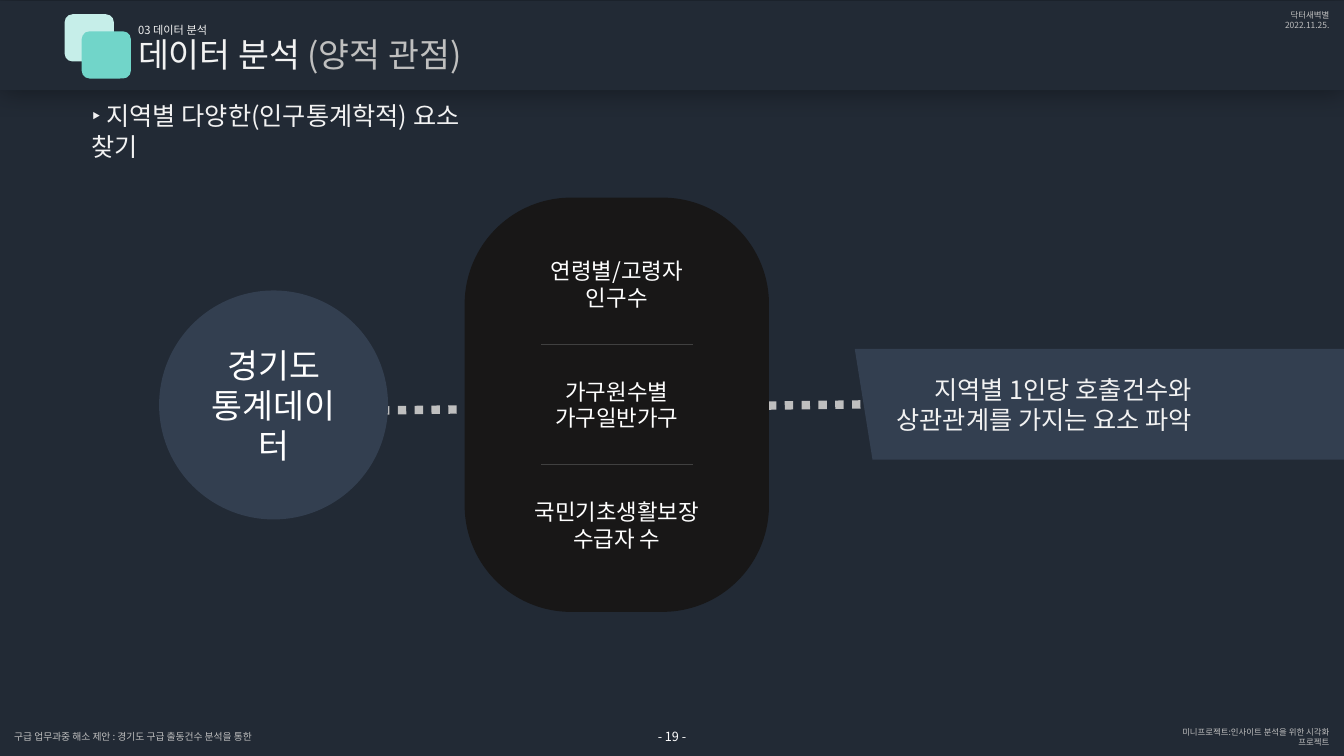
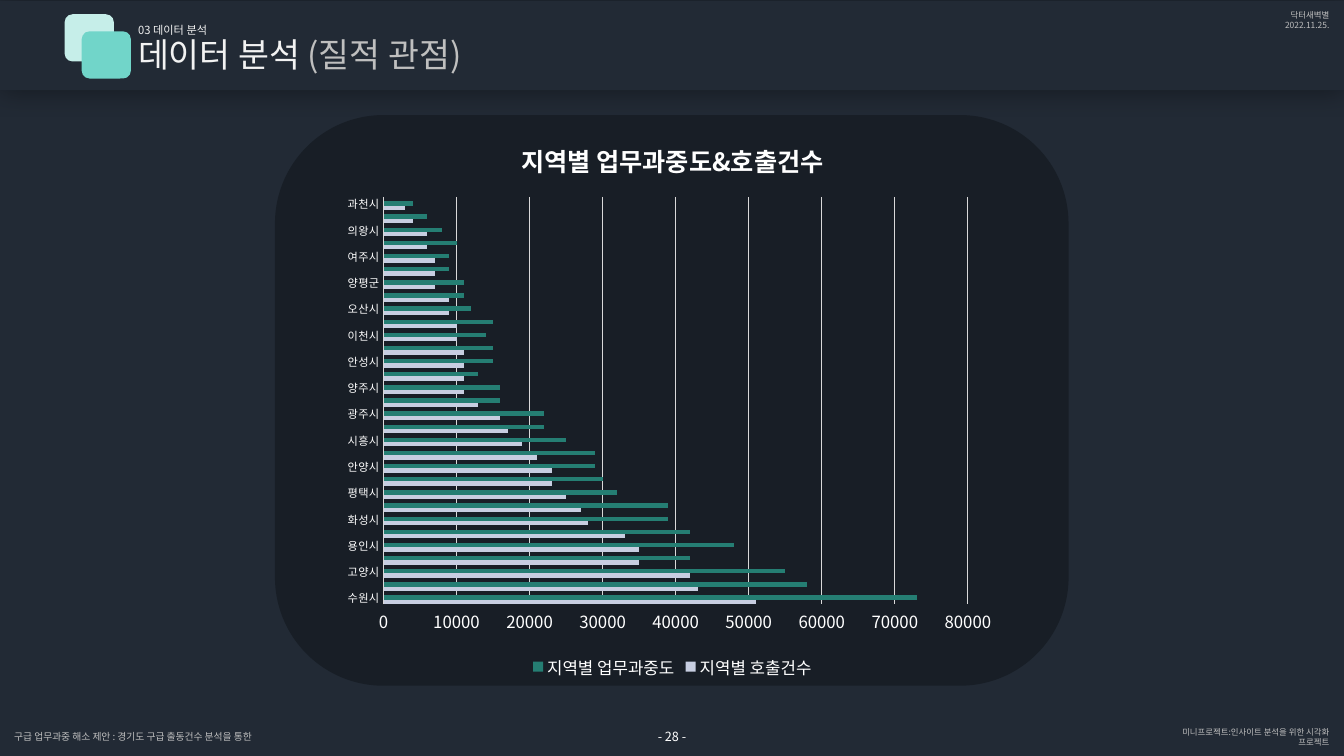
import pptx
import pptx.chart.data
import pptx.dml.color
import pptx.enum.chart
import pptx.enum.dml
import pptx.enum.shapes
import pptx.enum.text
import pptx.oxml
import pptx.oxml.ns
import pptx.util

Cm = pptx.util.Cm
Pt = pptx.util.Pt
RGBColor = pptx.dml.color.RGBColor
SHAPE = pptx.enum.shapes.MSO_SHAPE
ALIGN = pptx.enum.text.PP_ALIGN
ANCHOR = pptx.enum.text.MSO_ANCHOR
qn = pptx.oxml.ns.qn

NAVY = RGBColor(0x22, 0x2A, 0x35)
SLATE = RGBColor(0x33, 0x3F, 0x50)
CAPSULE = RGBColor(0x18, 0x17, 0x17)
PANEL = RGBColor(0x18, 0x1E, 0x26)
WHITE = RGBColor(0xFF, 0xFF, 0xFF)
OFFWHITE = RGBColor(0xF2, 0xF2, 0xF2)
GREY = RGBColor(0xBF, 0xBF, 0xBF)
GRID = RGBColor(0xD9, 0xD9, 0xD9)
DIVIDER = RGBColor(0x40, 0x40, 0x40)
PALE_MINT = RGBColor(0xC6, 0xEE, 0xE9)
MINT = RGBColor(0x71, 0xD5, 0xC9)
LAVENDER = RGBColor(0xC7, 0xCE, 0xE1)
GREEN = RGBColor(0x25, 0x7E, 0x73)
AQUA = RGBColor(0xC2, 0xF3, 0xE5)

FONT = "Noto Sans CJK KR"
WIDTH, HEIGHT = 33.87, 19.05

CALLS = [51, 43, 42, 35, 35, 33, 28, 27, 25, 23, 23, 21, 19, 17, 16, 13,
         11, 11, 11, 11, 10, 10, 9, 9, 7, 7, 7, 6, 6, 4, 3]
OVERLOAD = [73, 58, 55, 42, 48, 42, 39, 39, 32, 30, 29, 29, 25, 22, 22, 16,
            16, 13, 15, 15, 14, 15, 12, 11, 11, 9, 9, 10, 8, 6, 4]
CITIES = (
    "수원시 성남시 고양시 부천시 용인시 안산시 화성시 남양주시 평택시 의정부시 "
    "안양시 파주시 시흥시 김포시 광주시 광명시 양주시 군포시 안성시 포천시 이천시 "
    "하남시 오산시 구리시 양평군 동두천시 여주시 가평군 의왕시 연천군 과천시"
).split()


def set_font(font, size, color):
    font.size = Pt(size)
    font.color.rgb = color
    font.name = FONT
    latin = font._rPr.find(qn("a:latin"))
    ea = latin.makeelement(qn("a:ea"), {"typeface": FONT})
    latin.addnext(ea)


def add_text(slide, box, lines, size, color, align=ALIGN.LEFT,
             anchor=ANCHOR.MIDDLE, inset=(0, 0), wrap=True):
    tb = slide.shapes.add_textbox(*map(Cm, box))
    tf = tb.text_frame
    tf.word_wrap = wrap
    tf.vertical_anchor = anchor
    tf.margin_left = tf.margin_right = Cm(inset[0])
    tf.margin_top = tf.margin_bottom = Cm(inset[1])
    tf.text = "\n".join(lines)
    for p in tf.paragraphs:
        p.alignment = align
        for r in p.runs:
            set_font(r.font, size, color)
    return tf


def add_block(slide, kind, box, color, adj=None):
    sp = slide.shapes.add_shape(kind, *map(Cm, box))
    sp.shadow.inherit = False
    sp.fill.solid()
    sp.fill.fore_color.rgb = color
    sp.line.fill.background()
    if adj is not None:
        sp.adjustments[0] = adj
    return sp


def add_line(slide, start, end, color, width):
    line = slide.shapes.add_connector(
        pptx.enum.shapes.MSO_CONNECTOR.STRAIGHT, *map(Cm, start + end))
    line.line.color.rgb = color
    line.line.width = Pt(width)
    sp_pr = line._element.spPr
    sp_pr.append(sp_pr.makeelement(qn("a:effectLst"), {}))
    return line


def add_band_shadow(band):
    effects = band._element.spPr.find(qn("a:effectLst"))
    effects.append(pptx.oxml.parse_xml(
        '<a:outerShdw xmlns:a="http://schemas.openxmlformats.org/drawingml/2006/main" '
        'blurRad="254000" dist="0" dir="0" algn="ctr" rotWithShape="0">'
        '<a:srgbClr val="000000"><a:alpha val="40000"/></a:srgbClr></a:outerShdw>'))


def add_header(slide, box, viewpoint):
    x, y, w, h = box
    add_band_shadow(add_block(slide, SHAPE.RECTANGLE, box, NAVY))
    for i, color in enumerate((PALE_MINT, MINT)):
        add_block(slide, SHAPE.ROUNDED_RECTANGLE,
                  (x + 1.63 + 0.43 * i, y + 0.33 + 0.43 * i, 1.24, 1.19), color)
    tf = add_text(slide, (x + 3.48, y + 0.83, 9.35, 1.02),
                  ["데이터 분석"], 24, OFFWHITE)
    r = tf.paragraphs[0].add_run()
    r.text = f" ({viewpoint})"
    set_font(r.font, 24, GREY)
    add_text(slide, (x + 3.48, y + 0.55, 9.35, 0.33), ["03 데이터 분석"], 8, OFFWHITE)
    add_text(slide, (x + w - 4.79, y + 0.22, 4.42, 0.51),
             ["닥터새벽별", "2022.11.25."], 6, GREY, ALIGN.RIGHT)


def add_footer(slide, box, number):
    x, y, w, h = box
    add_text(slide, (x + 0.36, y, 6.65, h),
             ["구급 업무과중 해소 제안 : 경기도 구급 출동건수 분석을 통한"], 7, GREY)
    add_text(slide, (x + w / 2 - 0.46, y, 0.92, h), [f"- {number} -"], 9, WHITE,
             ALIGN.CENTER, wrap=False)
    add_text(slide, (x + w - 4.79, y, 4.42, h),
             ["미니프로젝트:인사이트 분석을 위한 시각화 프로젝트"], 6, GREY, ALIGN.RIGHT)


def new_slide(prs, viewpoint, number):
    slide = prs.slides.add_slide(prs.slide_layouts[6])
    slide.background.fill.solid()
    slide.background.fill.fore_color.rgb = NAVY
    add_header(slide, (0, 0.03, WIDTH, 2.24), viewpoint)
    add_footer(slide, (0, 18.42, WIDTH, 0.3), number)
    return slide


def add_source_circle(slide, box):
    x, y, w, h = box
    add_block(slide, SHAPE.OVAL, box, SLATE)
    add_text(slide, (x + 1.03, y + h / 2 - 1.03, w - 2.06, 2.06),
             ["경기도", "통계데이터"], 24, WHITE, ALIGN.CENTER)


def add_factor_capsule(slide, box):
    x, y, w, h = box
    add_block(slide, SHAPE.ROUNDED_RECTANGLE, box, CAPSULE, 0.35)
    factors = [("연령별/고령자", "인구수"),
               ("가구원수별", "가구일반가구"),
               ("국민기초생활보장", "수급자 수")]
    step, text_h = 3.03, 1.37
    for i, lines in enumerate(factors):
        top = y + 1.5 + step * i
        add_text(slide, (x + 1.15, top, w - 2.3, text_h), lines, 16, WHITE, ALIGN.CENTER)
        if i:
            mid = top - (step - text_h) / 2
            add_line(slide, (x + 1.92, mid), (x + w - 1.92, mid), DIVIDER, 1)


def add_conclusion(slide, box):
    x, y, w, h = box
    add_block(slide, SHAPE.TRAPEZOID, box, SLATE, 0.16).rotation = 180
    add_text(slide, (x + 0.23, y + 0.51, 8.51, 1.8),
             ["지역별 1인당 호출건수와", "상관관계를 가지는 요소 파악"], 18, OFFWHITE,
             ALIGN.RIGHT, ANCHOR.TOP, (0.25, 0.13))


def add_flow(slide, box):
    x, y, w, h = box
    dots = add_line(slide, (x + 0.08, y + 5.43), (x + 17.76, y + 5.21), GREY, 6)
    dots.line.dash_style = pptx.enum.dml.MSO_LINE.ROUND_DOT
    add_conclusion(slide, (x + 17.53, y + 3.81, w - 17.53, 2.79))
    add_source_circle(slide, (x, y + 2.34, 5.77, 5.77))
    add_factor_capsule(slide, (x + 7.7, y, 7.67, h))


def set_plot_layout(chart, x, y, w, h):
    ns = "http://schemas.openxmlformats.org/drawingml/2006/chart"
    plot_area = chart._chartSpace.find(".//" + qn("c:plotArea"))
    old = plot_area.find(qn("c:layout"))
    if old is not None:
        plot_area.remove(old)
    plot_area.insert(0, pptx.oxml.parse_xml(
        f'<c:layout xmlns:c="{ns}"><c:manualLayout><c:layoutTarget val="inner"/>'
        '<c:xMode val="edge"/><c:yMode val="edge"/>'
        f'<c:x val="{x}"/><c:y val="{y}"/><c:w val="{w}"/><c:h val="{h}"/>'
        '</c:manualLayout></c:layout>'))


def hide_legend_entry(chart, index):
    pos = chart.legend._element.find(qn("c:legendPos"))
    entry = pos.makeelement(qn("c:legendEntry"), {})
    for tag, value in (("c:idx", index), ("c:delete", 1)):
        entry.append(entry.makeelement(qn(tag), {"val": str(value)}))
    pos.addnext(entry)


def add_bar_chart(slide, box):
    data = pptx.chart.data.CategoryChartData()
    data.categories = CITIES
    data.add_series("지역별 호출건수", [v * 1000 for v in CALLS])
    data.add_series("지역별 업무과중도", [v * 1000 for v in OVERLOAD])
    data.add_series("열1", [None] * len(CITIES))
    chart = slide.shapes.add_chart(
        pptx.enum.chart.XL_CHART_TYPE.BAR_CLUSTERED, *map(Cm, box), data).chart
    set_font(chart.font, 10, WHITE)

    chart.has_title = True
    tf = chart.chart_title.text_frame
    tf.text = "지역별 업무과중도&호출건수"
    set_font(tf.paragraphs[0].runs[0].font, 18, WHITE)
    chart.chart_title.include_in_layout = False

    plot = chart.plots[0]
    plot.gap_width = 0
    plot.overlap = 0
    plot.vary_by_categories = False
    for series, color in zip(plot.series, (LAVENDER, GREEN, AQUA)):
        series.format.fill.solid()
        series.format.fill.fore_color.rgb = color

    for axis, size in ((chart.category_axis, 8), (chart.value_axis, 12)):
        axis.major_tick_mark = pptx.enum.chart.XL_TICK_MARK.NONE
        axis.minor_tick_mark = pptx.enum.chart.XL_TICK_MARK.NONE
        set_font(axis.tick_labels.font, size, WHITE)
    chart.value_axis.minimum_scale = 0
    chart.value_axis.maximum_scale = 80000
    chart.value_axis.major_unit = 10000
    chart.value_axis.format.line.fill.background()
    for line in (chart.category_axis.format.line,
                 chart.value_axis.major_gridlines.format.line):
        line.color.rgb = GRID
        line.width = Pt(0.75)

    chart.has_legend = True
    chart.legend.position = pptx.enum.chart.XL_LEGEND_POSITION.BOTTOM
    chart.legend.include_in_layout = False
    set_font(chart.legend.font, 12, WHITE)
    hide_legend_entry(chart, 0)
    set_plot_layout(chart, 0.07, 0.14, 0.87, 0.72)


def add_chart_panel(slide, box):
    x, y, w, h = box
    add_block(slide, SHAPE.ROUNDED_RECTANGLE, box, PANEL, 0.19)
    add_bar_chart(slide, (x + 1.55, y + 0.07, w - 3.07, h - 0.13))


def quantitative_slide(prs):
    slide = new_slide(prs, "양적 관점", 19)
    add_text(slide, (2.06, 2.41, 10.95, 1.02),
             ["‣ 지역별 다양한(인구통계학적) 요소 찾기"], 18, OFFWHITE,
             anchor=ANCHOR.TOP, inset=(0.25, 0.13))
    add_flow(slide, (4.01, 4.98, 30.43, 10.44))


def qualitative_slide(prs):
    slide = new_slide(prs, "질적 관점", 28)
    add_chart_panel(slide, (6.93, 2.9, 20, 14.38))


def main():
    prs = pptx.Presentation()
    prs.slide_width = Cm(WIDTH)
    prs.slide_height = Cm(HEIGHT)
    quantitative_slide(prs)
    qualitative_slide(prs)
    prs.save("out.pptx")


if __name__ == "__main__":
    main()
